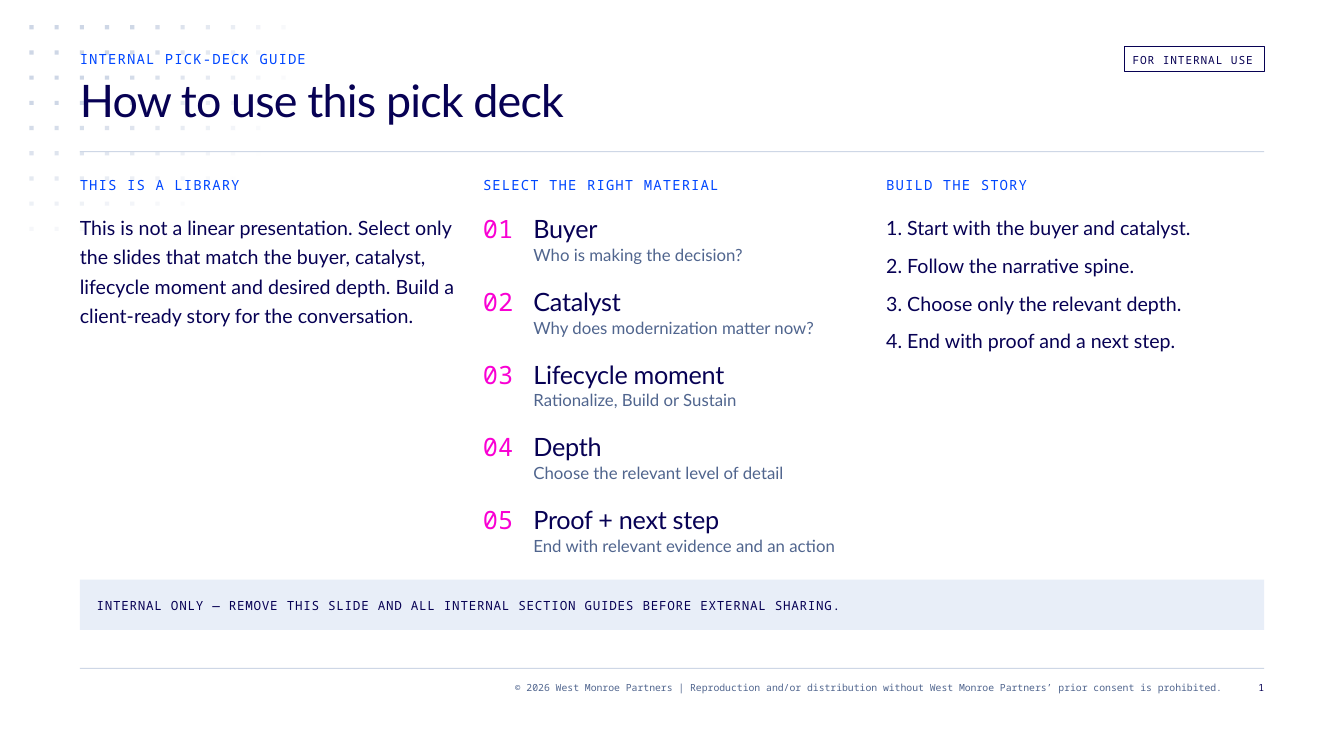
import math
from dataclasses import dataclass

import pptx
import pptx.dml.color
import pptx.enum.shapes
import pptx.enum.text
import pptx.oxml
import pptx.oxml.ns
import pptx.util

Pt = pptx.util.Pt
RGB = pptx.dml.color.RGBColor.from_string
ALIGN = pptx.enum.text.PP_ALIGN
RECT = pptx.enum.shapes.MSO_SHAPE.RECTANGLE
NS = pptx.oxml.ns.nsdecls("a")

HEX = {
    "navy": "070154",
    "blue": "0047FF",
    "pink": "F900D3",
    "slate": "50658E",
    "mist": "CED7E6",
    "pale": "E8EEF8",
}
SANS, MONO = "Lato", "Noto Sans Mono"
LEFT, WIDE = 57, 846
COL, STEP = 270, 288
TOP = 150


@dataclass(frozen=True)
class Style:
    font: str
    size: float
    lead: float
    color: str
    track: float = 0
    align: ALIGN = ALIGN.LEFT


@dataclass(frozen=True)
class Label:
    text: str
    x: float
    y: float
    w: float
    h: float
    style: Style


@dataclass(frozen=True)
class Choice:
    name: str
    hint: str


HEAD = Style(MONO, 10, 12, "blue", 0.8)
TITLE = Style(SANS, 32, 36, "navy", -0.6)
BODY = Style(SANS, 14, 21, "navy")
INDEX = Style(MONO, 18, 24, "pink")
NAME = Style(SANS, 18, 24, "navy", -0.2)
HINT = Style(SANS, 12, 18, "slate")
ALERT = Style(MONO, 9, 12, "navy", 0.5)
TAG = Style(MONO, 8, 12, "navy", 0.6)
LEGAL = Style(MONO, 7, 9, "slate", align=ALIGN.RIGHT)
PAGE = Style(MONO, 7, 9, "navy", align=ALIGN.RIGHT)

HEADS = ["THIS IS A LIBRARY", "SELECT THE RIGHT MATERIAL", "BUILD THE STORY"]
INTRO = (
    "This is not a linear presentation. Select only the slides that match "
    "the buyer, catalyst, lifecycle moment and desired depth. Build a "
    "client-ready story for the conversation."
)
CHOICES = [
    Choice("Buyer", "Who is making the decision?"),
    Choice("Catalyst", "Why does modernization matter now?"),
    Choice("Lifecycle moment", "Rationalize, Build or Sustain"),
    Choice("Depth", "Choose the relevant level of detail"),
    Choice("Proof + next step", "End with relevant evidence and an action"),
]
STEPS = [
    "Start with the buyer and catalyst.",
    "Follow the narrative spine.",
    "Choose only the relevant depth.",
    "End with proof and a next step.",
]
ALARM = ("INTERNAL ONLY — REMOVE THIS SLIDE AND ALL INTERNAL SECTION GUIDES "
         "BEFORE EXTERNAL SHARING.")
RIGHTS = ("© 2026 West Monroe Partners | Reproduction and/or distribution "
          "without West Monroe Partners’ prior consent is prohibited.")


def apply(target, values: dict) -> None:
    """Set each named attribute on the target."""
    for key, value in values.items():
        setattr(target, key, value)


def add_box(slide, x: float, y: float, w: float, h: float,
            fill: str = "", line: str = "", alpha: float = 1) -> None:
    box = slide.shapes.add_shape(RECT, Pt(x), Pt(y), Pt(w), Pt(h))
    box.shadow.inherit = False
    if fill:
        box.fill.solid()
        box.fill.fore_color.rgb = RGB(HEX[fill])
    else:
        box.fill.background()
    if line:
        box.line.color.rgb = RGB(HEX[line])
        box.line.width = Pt(0.75)
    else:
        box.line.fill.background()
    if alpha < 1:
        tone = box.fill._xPr.find(".//" + pptx.oxml.ns.qn("a:srgbClr"))
        tone.append(pptx.oxml.parse_xml(
            f'<a:alpha {NS} val="{round(alpha * 100) * 1000}"/>'))


def add_text(slide, label: Label, listed: bool = False) -> None:
    """Write one paragraph per line of text, numbered if listed."""
    style = label.style
    area = slide.shapes.add_textbox(
        Pt(label.x), Pt(label.y), Pt(label.w), Pt(label.h))
    frame = area.text_frame
    apply(frame, {"word_wrap": True, "margin_left": 0, "margin_right": 0,
                  "margin_top": 0, "margin_bottom": 0})
    for i, text in enumerate(label.text.split("\n")):
        para = frame.add_paragraph() if i else frame.paragraphs[0]
        apply(para, {"alignment": style.align, "line_spacing": Pt(style.lead)})
        if listed:
            if i:
                para.space_before = Pt(6)
            props = para._p.get_or_add_pPr()
            props.set("marL", str(Pt(15)))
            props.set("indent", str(-Pt(15)))
            props.append(pptx.oxml.parse_xml(
                f'<a:buAutoNum {NS} type="arabicPeriod"/>'))
        run = para.add_run()
        run.text = text
        apply(run.font, {"name": style.font, "size": Pt(style.size)})
        run.font.color.rgb = RGB(HEX[style.color])
        if style.track:
            run._r.get_or_add_rPr().set("spc", str(round(style.track * 100)))


def add_dots(slide) -> None:
    """Draw a dot grid that fades away from the top left corner."""
    for col in range(11):
        for row in range(9):
            alpha = 1.52 - math.hypot(0.138 * col, 0.167 * row)
            if alpha > 0.02:
                add_box(slide, 21 + 18 * col, 18 + 18 * row, 3, 3,
                        "mist", alpha=alpha)


def main() -> None:
    deck = pptx.Presentation()
    apply(deck, {"slide_width": Pt(960), "slide_height": Pt(540)})
    slide = deck.slides.add_slide(deck.slide_layouts[6])

    add_dots(slide)
    for y in (108, 477):
        add_box(slide, LEFT, y, WIDE, 0.75, "mist")
    add_box(slide, LEFT, 414, WIDE, 36, "pale")
    add_box(slide, 803, 33, 100, 18, line="navy")

    cols = [LEFT + STEP * i for i in range(3)]
    labels = [
        Label("INTERNAL PICK-DECK GUIDE", LEFT, 36, 666, 12, HEAD),
        Label("How to use this pick deck", LEFT, 54, WIDE, 54, TITLE),
        Label("FOR INTERNAL USE", 809, 36, 89, 12, TAG),
        Label(INTRO, LEFT, TOP, COL, 105, BODY),
        Label(ALARM, 69, 426, 822, 12, ALERT),
        Label(RIGHTS, 171, 486, 702, 18, LEGAL),
        Label("1", 879, 486, 24, 18, PAGE),
    ]
    labels += [Label(head, x, 126, COL, 12, HEAD)
               for head, x in zip(HEADS, cols)]
    for i, choice in enumerate(CHOICES):
        x, y = cols[1], TOP + 52 * i
        labels += [
            Label(f"{i + 1:02}", x, y, 30, 24, INDEX),
            Label(choice.name, x + 36, y, 234, 24, NAME),
            Label(choice.hint, x + 36, y + 21, 234, 18, HINT),
        ]
    for label in labels:
        add_text(slide, label)
    add_text(slide, Label("\n".join(STEPS), cols[2], TOP, COL, 102, BODY),
             listed=True)

    deck.save("out.pptx")


if __name__ == "__main__":
    main()
